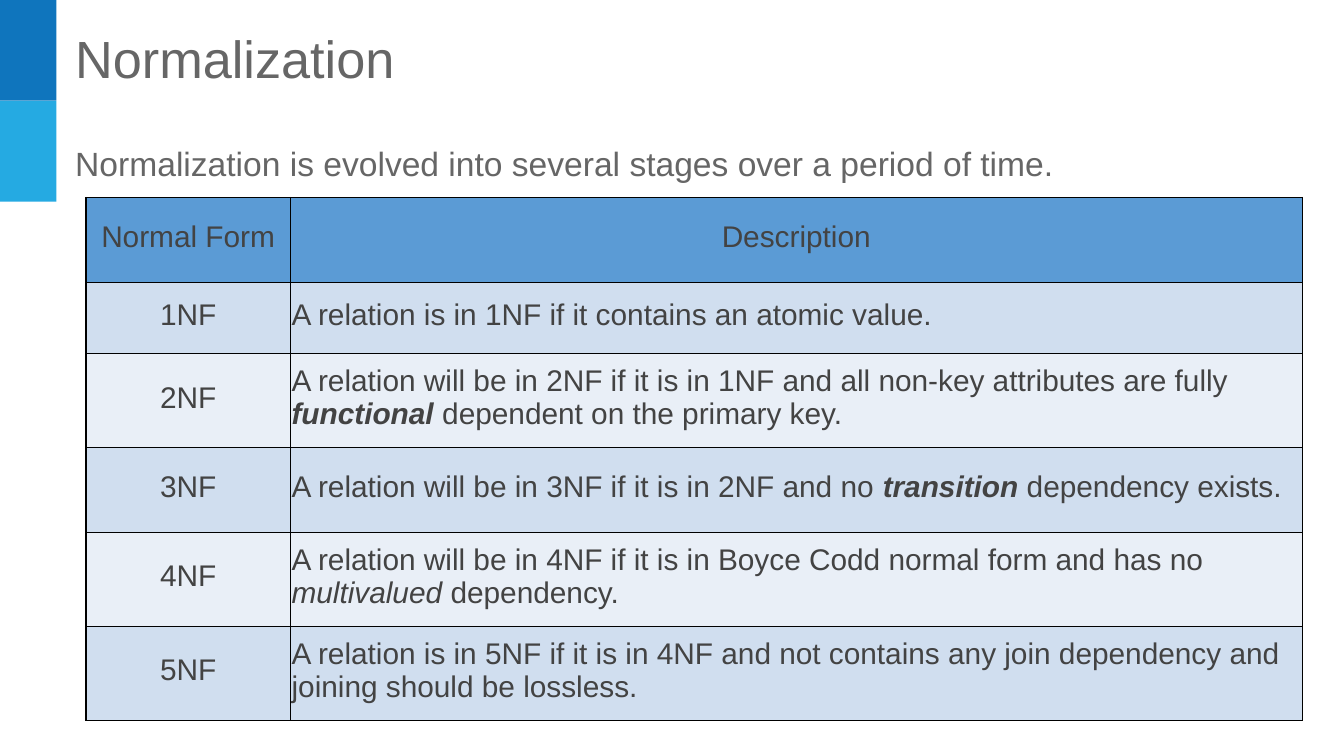
from dataclasses import dataclass

from lxml import etree
from pptx import Presentation
from pptx import util as u
from pptx.dml.color import RGBColor
from pptx.enum import shapes, text
from pptx.oxml import ns

# Widescreen, 16:9
WIDTH = u.Inches(10)
HEIGHT = u.Emu(WIDTH * 9 // 16)


@dataclass(frozen=True)
class Theme:
    font: str = "Arial"
    heading: str = "666666"
    cell_text: str = "434343"
    border: str = "000000"
    header_fill: str = "5B9BD5"
    row_fills: tuple = ("D0DEEF", "E9EFF7")
    bands: tuple = ("0F75BD", "25AAE2")
    title_size: int = 28
    intro_size: int = 18
    cell_size: int = 16
    border_width: float = 0.75


THEME = Theme()

# A description is a list of (wording, emphasis) pieces; b = bold, i = italic
NORMAL_FORMS = [
    ("1NF", [("A relation is in 1NF if it contains an atomic value.", "")]),
    ("2NF", [("A relation will be in 2NF if it is in 1NF and all non-key "
              "attributes are fully ", ""),
             ("functional ", "bi"), ("dependent on the primary key.", "")]),
    ("3NF", [("A relation will be in 3NF if it is in 2NF and no ", ""),
             ("transition ", "bi"), ("dependency exists.", "")]),
    ("4NF", [("A relation will be in 4NF if it is in Boyce Codd normal form "
              "and has no ", ""),
             ("multivalued ", "i"), ("dependency.", "")]),
    ("5NF", [("A relation is in 5NF if it is in 4NF and not contains any join "
              "dependency and joining should be lossless.", "")]),
]
COLUMN_WIDTHS = (1.52, 7.53)
ROW_HEIGHTS = (0.63, 0.53, 0.7, 0.63, 0.7, 0.7)


def across(share):
    return int(WIDTH * share)


def down(share):
    return int(HEIGHT * share)


def write(paragraph, pieces, *, size, color, align=text.PP_ALIGN.LEFT,
          spacing=1.0, before=0):
    """Fill a paragraph with a string or with (wording, emphasis) pieces."""
    paragraph.alignment = align
    paragraph.line_spacing = spacing
    paragraph.space_before = u.Pt(before)
    if isinstance(pieces, str):
        pieces = [(pieces, "")]
    for wording, emphasis in pieces:
        run = paragraph.add_run()
        run.text = wording
        run.font.name = THEME.font
        run.font.size = u.Pt(size)
        run.font.color.rgb = RGBColor.from_string(color)
        run.font.bold = "b" in emphasis
        run.font.italic = "i" in emphasis


def add_band(slide, index, color):
    height = down(2 / 15)
    band = slide.shapes.add_shape(shapes.MSO_SHAPE.RECTANGLE, 0, index * height,
                                  across(0.042), height)
    band.shadow.inherit = False
    band.fill.solid()
    band.fill.fore_color.rgb = RGBColor.from_string(color)
    band.line.fill.background()


def set_heading(slide, title, intro):
    heading = slide.shapes.title
    heading.left, heading.top = u.Inches(0.46), u.Inches(0.15)
    heading.width, heading.height = u.Inches(8.43), u.Inches(1.31)
    frame = heading.text_frame
    frame.word_wrap = True
    frame.auto_size = text.MSO_AUTO_SIZE.NONE
    frame.vertical_anchor = text.MSO_ANCHOR.TOP
    frame.margin_left = frame.margin_right = u.Inches(0.1)
    frame.margin_top = frame.margin_bottom = u.Inches(0.1)
    write(frame.paragraphs[0], title, size=THEME.title_size,
          color=THEME.heading, spacing=0.9)
    # The gap above the intro is about one title line
    write(frame.add_paragraph(), intro, size=THEME.intro_size,
          color=THEME.heading, spacing=0.9, before=30.5)


def add_borders(cell):
    properties = cell._tc.get_or_add_tcPr()
    for side in ("lnL", "lnR", "lnT", "lnB"):
        line = etree.SubElement(properties, ns.qn(f"a:{side}"),
                                w=str(u.Pt(THEME.border_width)))
        fill = etree.SubElement(line, ns.qn("a:solidFill"))
        etree.SubElement(fill, ns.qn("a:srgbClr"), val=THEME.border)


def fill_cell(cell, pieces, fill, align):
    add_borders(cell)
    cell.fill.solid()
    cell.fill.fore_color.rgb = RGBColor.from_string(fill)
    cell.vertical_anchor = text.MSO_ANCHOR.MIDDLE
    cell.margin_left = cell.margin_right = cell.margin_top = u.Inches(0.01)
    cell.margin_bottom = u.Inches(0.05)
    write(cell.text_frame.paragraphs[0], pieces, size=THEME.cell_size,
          color=THEME.cell_text, align=align)


def add_forms_table(slide):
    table = slide.shapes.add_table(
        len(ROW_HEIGHTS), len(COLUMN_WIDTHS), u.Inches(0.64), u.Inches(1.47),
        u.Inches(sum(COLUMN_WIDTHS)), u.Inches(sum(ROW_HEIGHTS))).table
    for column, width in zip(table.columns, COLUMN_WIDTHS):
        column.width = u.Inches(width)
    for row, height in zip(table.rows, ROW_HEIGHTS):
        row.height = u.Inches(height)

    # Header row
    center, left = text.PP_ALIGN.CENTER, text.PP_ALIGN.LEFT
    for column, label in enumerate(("Normal Form", "Description")):
        fill_cell(table.cell(0, column), label, THEME.header_fill, center)

    # One row per normal form, in alternating fills
    for row, (form, description) in enumerate(NORMAL_FORMS, start=1):
        fill = THEME.row_fills[(row - 1) % 2]
        fill_cell(table.cell(row, 0), form, fill, center)
        fill_cell(table.cell(row, 1), description, fill, left)


def main():
    deck = Presentation()
    deck.slide_width, deck.slide_height = WIDTH, HEIGHT
    slide = deck.slides.add_slide(deck.slide_layouts[5])  # title only

    for index, color in enumerate(THEME.bands):
        add_band(slide, index, color)
    set_heading(slide, "Normalization",
                "Normalization is evolved into several stages over a period of time.")
    add_forms_table(slide)
    deck.save("out.pptx")


if __name__ == "__main__":
    main()
